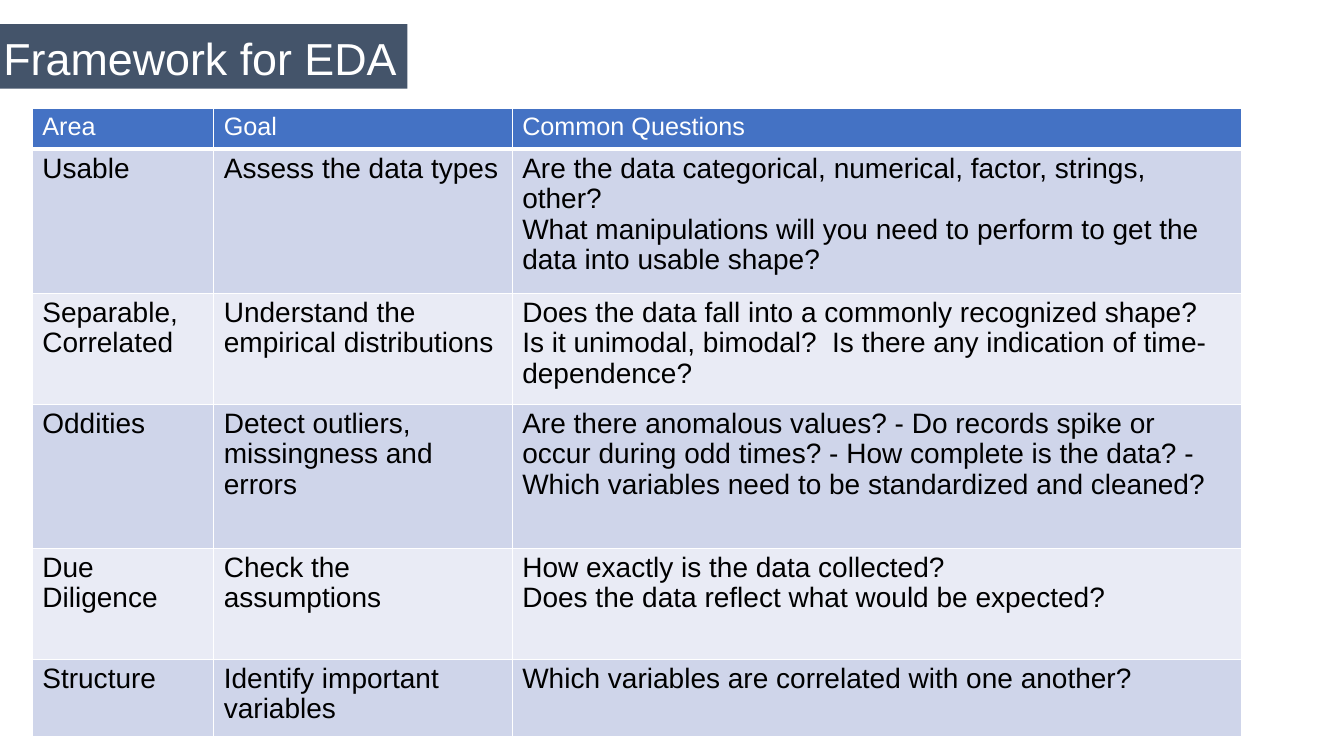
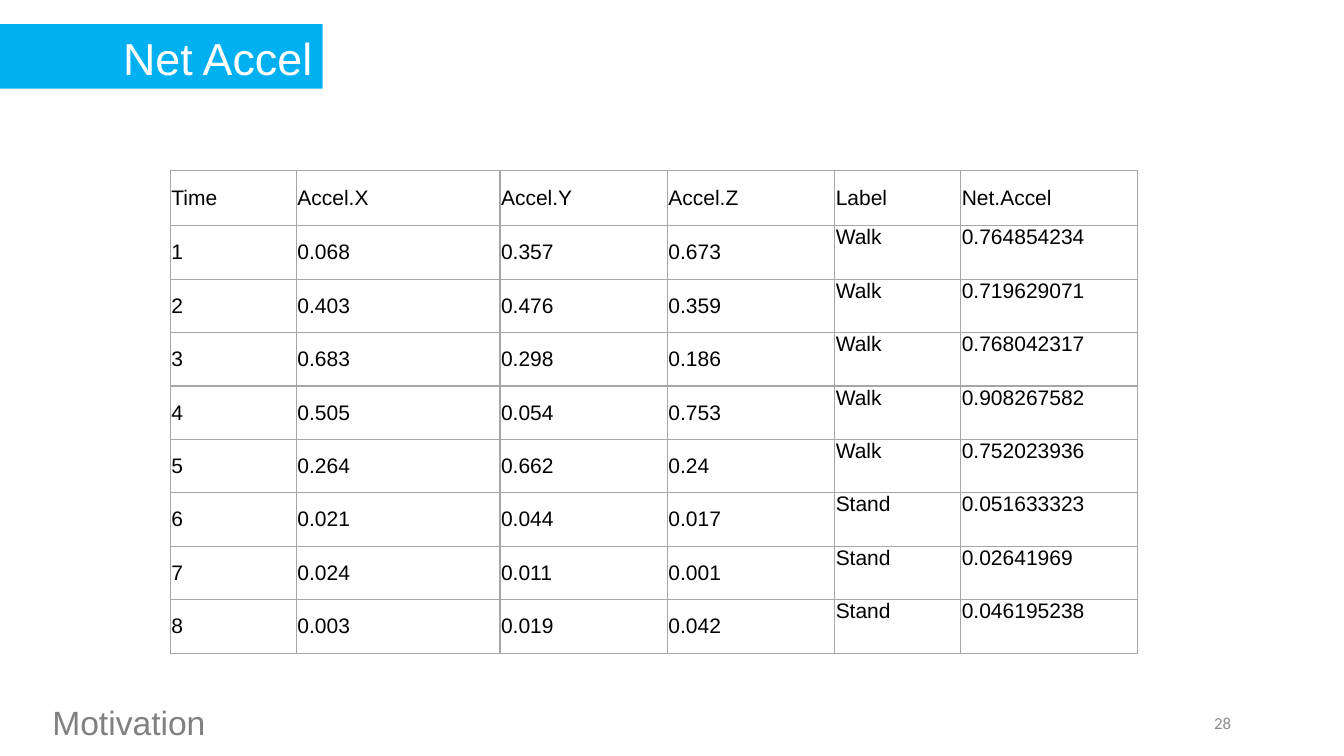
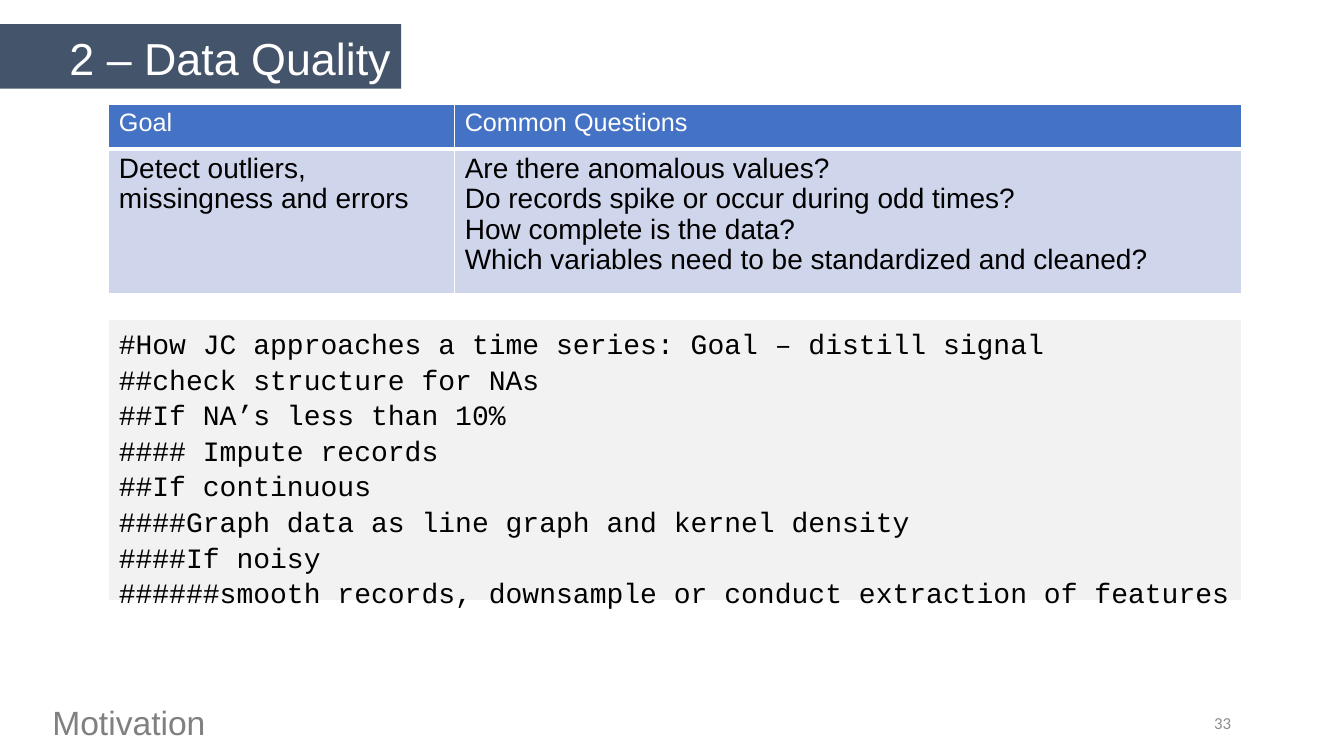
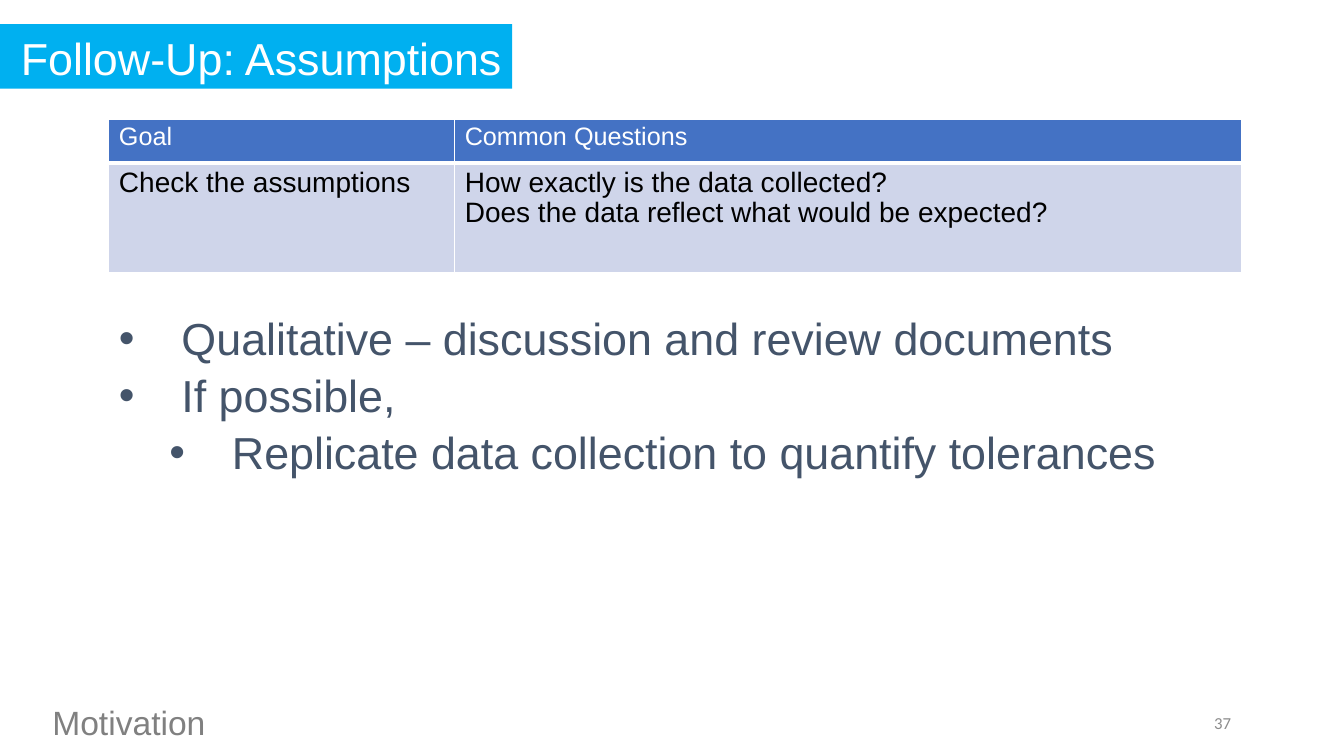
from lxml.etree import SubElement
from pptx import Presentation
from pptx.dml.color import RGBColor
from pptx.enum.shapes import MSO_SHAPE as Shape
from pptx.enum.text import MSO_ANCHOR as Anchor, MSO_AUTO_SIZE as AutoSize, PP_ALIGN as Align
from pptx.oxml import parse_xml
from pptx.oxml.ns import nsdecls, qn
from pptx.util import Inches, Pt

# Shared look
COLORS = {
    "slate": "44546A", "sky": "00B0F0", "white": "FFFFFF", "black": "000000",
    "header": "4472C4", "band": "CFD5EA", "pale": "E9EBF5",
    "grid": "A6A6A6", "code": "F2F2F2", "footer": "808080", "page": "8C8C8C",
}
STYLES = {
    "title": dict(size=32, name="Arial", color="white"),
    "head": dict(size=18, name="Arial", color="white"),
    "cell": dict(size=20, name="Arial", color="black"),
    "data": dict(size=15, name="Arial", color="black"),
    "code": dict(size=20, name="Courier New", color="black"),
    "list": dict(size=32, name="Arial", color="slate"),
    "footer": dict(size=24, name="Arial", color="footer"),
    "page": dict(size=12, name="Calibri", color="page"),
}
WIDTH, HEIGHT = 13.33, 7.5
RIGHT = 12.31          # right edge of the content
LEFT = 1.08            # left edge of the content
LOOSE, TIGHT = 1.06, 0.97   # line spacing in boxes and in tables

# Content: a list in a cell holds its paragraphs
COLLECTED = ["How exactly is the data collected?",
             "Does the data reflect what would be expected?"]
OUTLIERS = "Detect outliers, missingness and errors"
FRAMEWORK = [
    ("Area", "Goal", "Common Questions"),
    ("Usable", "Assess the data types",
     ["Are the data categorical, numerical, factor, strings, other?",
      "What manipulations will you need to perform to get the data into usable shape?"]),
    ("Separable, Correlated", "Understand the empirical distributions",
     ["Does the data fall into a commonly recognized shape?",
      "Is it unimodal, bimodal?  Is there any indication of time-dependence?"]),
    ("Oddities", OUTLIERS,
     "Are there anomalous values? - Do records spike or occur during odd times? - "
     "How complete is the data? - Which variables need to be standardized and cleaned?"),
    ("Due Diligence", "Check the assumptions", COLLECTED),
    ("Structure", "Identify important variables",
     "Which variables are correlated with one another?"),
]
ACCEL = [
    ("Time", "Accel.X", "Accel.Y", "Accel.Z", "Label", "Net.Accel"),
    ("1", "0.068", "0.357", "0.673", "Walk", "0.764854234"),
    ("2", "0.403", "0.476", "0.359", "Walk", "0.719629071"),
    ("3", "0.683", "0.298", "0.186", "Walk", "0.768042317"),
    ("4", "0.505", "0.054", "0.753", "Walk", "0.908267582"),
    ("5", "0.264", "0.662", "0.24", "Walk", "0.752023936"),
    ("6", "0.021", "0.044", "0.017", "Stand", "0.051633323"),
    ("7", "0.024", "0.011", "0.001", "Stand", "0.02641969"),
    ("8", "0.003", "0.019", "0.042", "Stand", "0.046195238"),
]
QUALITY = [
    ("Goal", "Common Questions"),
    (OUTLIERS,
     ["Are there anomalous values?", "Do records spike or occur during odd times?",
      "How complete is the data?", "Which variables need to be standardized and cleaned?"]),
]
ASSUMPTIONS = [("Goal", "Common Questions"), ("Check the assumptions", COLLECTED)]
CODE = [
    "#How JC approaches a time series: Goal – distill signal",
    "##check structure for NAs",
    "##If NA’s less than 10%",
    "#### Impute records",
    "##If continuous",
    "####Graph data as line graph and kernel density",
    "####If noisy",
    "######smooth records, downsample or conduct extraction of features",
]
BULLETS = [
    (0, "Qualitative – discussion and review documents"),
    (0, "If possible,"),
    (1, "Replicate data collection to quantify tolerances"),
]
GOAL_COLS = (3.43, 7.8)


def rgb(name):
    return RGBColor.from_string(COLORS[name])


def place(sp, *box):
    for key, value in zip(("left", "top", "width", "height"), box):
        setattr(sp, key, Inches(value))


def write(tf, lines, style, align=Align.LEFT, spacing=LOOSE):
    """Fill a text frame with one paragraph a line."""
    fmt = dict(STYLES[style])
    color, size = fmt.pop("color"), fmt.pop("size")
    for i, line in enumerate(lines):
        p = tf.paragraphs[0] if i == 0 else tf.add_paragraph()
        for key, value in dict(alignment=align, line_spacing=spacing,
                               space_before=Pt(0), space_after=Pt(0)).items():
            setattr(p, key, value)
        r = p.add_run()
        r.text = line
        for key, value in dict(fmt, size=Pt(size)).items():
            setattr(r.font, key, value)
        r.font.color.rgb = rgb(color)


def set_frame(tf, **frame):
    for key, value in dict(dict(word_wrap=True, auto_size=AutoSize.NONE), **frame).items():
        setattr(tf, key, value)


def add_text(s, box, text, style, **fmt):
    tf = s.shapes.add_textbox(*map(Inches, box)).text_frame
    set_frame(tf, vertical_anchor=Anchor.MIDDLE)
    write(tf, [text], style, spacing=1.0, **fmt)


def new_slide(prs, title, band, width, page=None, layout=5):
    """Slide with its title band and, when numbered, its footer."""
    s = prs.slides.add_slide(prs.slide_layouts[layout])
    sp = s.shapes.title
    place(sp, 0, 0.24, width, 0.64)
    sp.fill.solid()
    sp.fill.fore_color.rgb = rgb(band)
    set_frame(sp.text_frame, vertical_anchor=Anchor.MIDDLE, margin_left=0)
    write(sp.text_frame, [title], "title", align=Align.RIGHT)
    if page:
        add_text(s, (0.42, 6.91, 9.79, 0.5), "Motivation", "footer")
        add_text(s, (RIGHT - 3, 6.97, 3, 0.4), page, "page", align=Align.RIGHT)
    return s


def set_borders(cell, color, bottom=1):
    """Lines go before the fill in the cell properties."""
    tc_pr = cell._tc.get_or_add_tcPr()
    for i, side in enumerate("LRTB"):
        weight = Pt(bottom if side == "B" else 1)
        tc_pr.insert(i, parse_xml(
            f'<a:ln{side} {nsdecls("a")} w="{weight}"><a:solidFill>'
            f'<a:srgbClr val="{COLORS[color]}"/></a:solidFill></a:ln{side}>'))


def add_grid(s, left, top, cols, rows, content, format_cell):
    """Table whose cells are styled by format_cell(cell, row, column)."""
    shape = s.shapes.add_table(len(rows), len(cols), Inches(left), Inches(top),
                               Inches(sum(cols)), Inches(sum(rows)))
    table = shape.table
    table.first_row = table.horz_banding = False
    for col, width in zip(table.columns, cols):
        col.width = Inches(width)
    for row, height in zip(table.rows, rows):
        row.height = Inches(height)
    for i, values in enumerate(content):
        for j, value in enumerate(values):
            cell = table.cell(i, j)
            style = format_cell(cell, i, j)
            lines = value if isinstance(value, list) else [value]
            write(cell.text_frame, lines, style, spacing=TIGHT)


def banded_cell(cell, i, j):
    set_borders(cell, "white", bottom=1 if i else 3)
    cell.fill.solid()
    cell.fill.fore_color.rgb = rgb("header" if i == 0 else "band" if i % 2 else "pale")
    return "cell" if i else "head"


def data_cell(cell, i, j):
    set_borders(cell, "grid")
    cell.fill.background()
    for side in ("left", "right", "top"):
        setattr(cell, f"margin_{side}", Inches(0.01))
    cell.margin_bottom = 0
    cell.vertical_anchor = Anchor.TOP if i and j > 3 else Anchor.MIDDLE
    return "data"


def add_code(s, top, height, lines):
    sp = s.shapes.add_shape(Shape.RECTANGLE, Inches(LEFT), Inches(top),
                            Inches(RIGHT - LEFT), Inches(height))
    sp.shadow.inherit = False
    sp.fill.solid()
    sp.fill.fore_color.rgb = rgb("code")
    sp.line.color.rgb = rgb("white")
    sp.line.width = Pt(0.75)
    set_frame(sp.text_frame, vertical_anchor=Anchor.TOP)
    write(sp.text_frame, lines, "code")


def fill_list(sp, box, items):
    place(sp, *box)
    tf = sp.text_frame
    set_frame(tf, vertical_anchor=Anchor.TOP)
    write(tf, [text for _, text in items], "list")
    for p, (level, _) in zip(tf.paragraphs, items):
        p.level = level
        p_pr = p._p.get_or_add_pPr()
        p_pr.set("marL", str(Inches(0.62 + 0.5 * level)))
        p_pr.set("indent", str(Inches(-0.62)))
        SubElement(p_pr, qn("a:buFont"), typeface="Arial")
        SubElement(p_pr, qn("a:buChar"), char="•")


def main():
    prs = Presentation()
    prs.slide_width, prs.slide_height = Inches(WIDTH), Inches(HEIGHT)

    # Framework
    s = new_slide(prs, "Framework for EDA", "slate", 4.04)
    add_grid(s, 0.32, 1.08, (1.8, 2.96, 7.23), (0.4, 1.43, 1.1, 1.43, 1.1, 0.77),
             FRAMEWORK, banded_cell)

    # Net acceleration
    s = new_slide(prs, "Net Accel", "sky", 3.2, "28")
    add_grid(s, 1.69, 1.69, (1.25, 2.02, 1.66, 1.66, 1.25, 1.75),
             [0.55] + [0.53] * 8, ACCEL, data_cell)

    # Data quality
    s = new_slide(prs, "2 – Data Quality", "slate", 3.98, "33")
    add_grid(s, LEFT, 1.04, GOAL_COLS, (0.44, 1.43), QUALITY, banded_cell)
    add_code(s, 3.17, 2.79, CODE)

    # Assumptions
    s = new_slide(prs, "Follow-Up: Assumptions", "sky", 5.08, "37", layout=1)
    add_grid(s, LEFT, 1.18, GOAL_COLS, (0.44, 1.08), ASSUMPTIONS, banded_cell)
    fill_list(s.placeholders[1], (LEFT, 3, 10.71, 2.26), BULLETS)

    prs.save("out.pptx")


if __name__ == "__main__":
    main()
